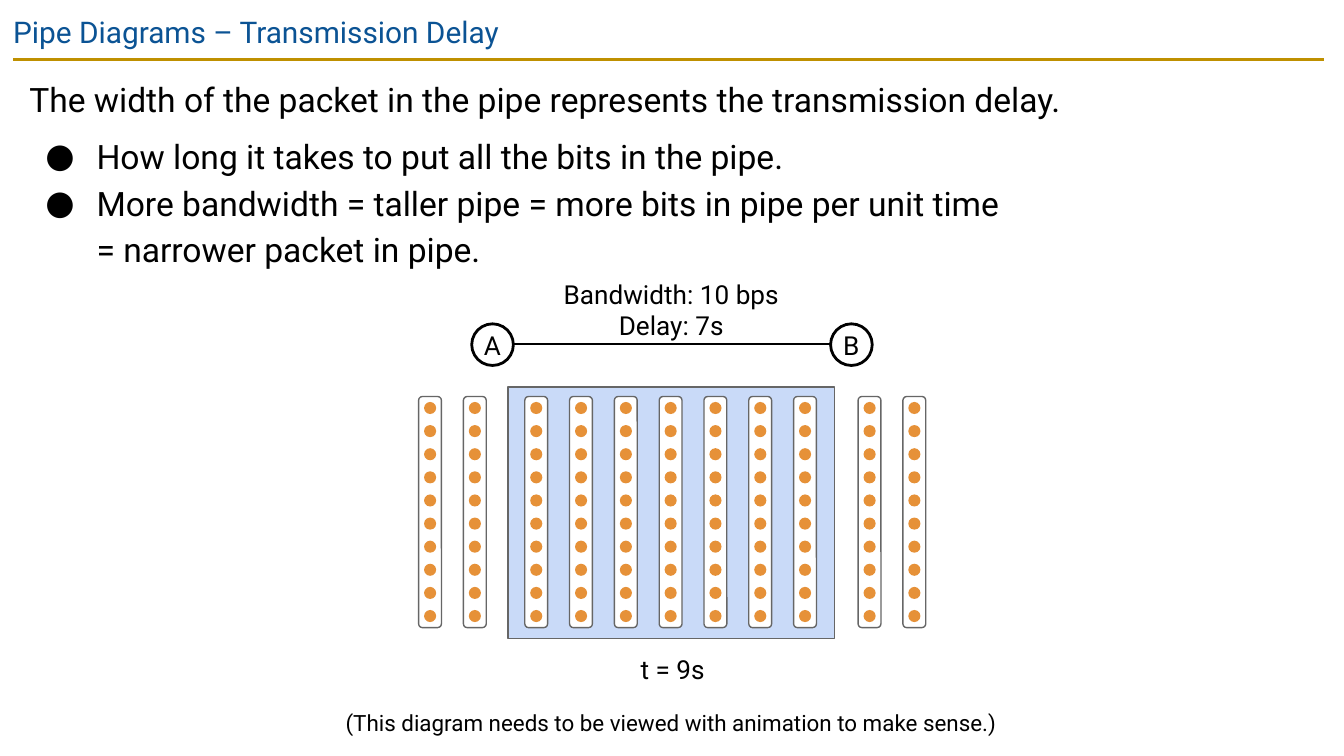
from lxml import etree
from pptx import Presentation
from pptx.dml.color import RGBColor
from pptx.enum.shapes import MSO_CONNECTOR, MSO_SHAPE
from pptx.enum.text import MSO_ANCHOR, MSO_AUTO_SIZE, PP_ALIGN
from pptx.oxml.ns import qn
from pptx.util import Inches, Pt

STRAIGHT = MSO_CONNECTOR.STRAIGHT
OVAL = MSO_SHAPE.OVAL
RECTANGLE = MSO_SHAPE.RECTANGLE
ROUNDED = MSO_SHAPE.ROUNDED_RECTANGLE
MIDDLE = MSO_ANCHOR.MIDDLE
TOP = MSO_ANCHOR.TOP
GROW = MSO_AUTO_SIZE.SHAPE_TO_FIT_TEXT
LEFT = PP_ALIGN.LEFT
CENTER = PP_ALIGN.CENTER

FONT = "Roboto"
COLORS = {
    "title": "0B5394",
    "rule": "BF9000",
    "text": "000000",
    "white": "FFFFFF",
    "pipe": "C9DAF8",
    "outline": "666666",
    "bit": "E69138",
}

BITS_PER_PACKET = 10
PACKET_WIDTH = 0.17
PACKET_HEIGHT = 1.72
PACKET_TOP = 2.95
PACKET_STEP = 1 / 3
PACKET_RUNS = [(3.2, 2), (3.99, 7), (6.47, 2)]
BIT_STEP = PACKET_HEIGHT / BITS_PER_PACKET
BIT_SIZE = 0.09


def color(name):
    return RGBColor.from_string(COLORS[name])


def add_line(slide, start, end, line_color):
    line = slide.shapes.add_connector(STRAIGHT, *map(Inches, start + end))
    line.line.color.rgb = color(line_color)
    line.line.width = Pt(1.5)
    etree.SubElement(line._element.spPr, qn("a:effectLst"))


def add_shape(shapes, kind, box, fill, outline=None, width=0.75):
    shape = shapes.add_shape(kind, *map(Inches, box))
    shape.shadow.inherit = False
    shape.fill.solid()
    shape.fill.fore_color.rgb = color(fill)
    if outline:
        shape.line.color.rgb = color(outline)
        shape.line.width = Pt(width)
    else:
        shape.line.fill.background()
    return shape


def write_text(shape, text, size, inset, align=CENTER, anchor=TOP, font_color="text"):
    frame = shape.text_frame
    frame.text = text
    frame.word_wrap = True
    frame.vertical_anchor = anchor
    frame.margin_left = frame.margin_right = Inches(inset)
    frame.margin_top = frame.margin_bottom = Inches(inset)
    for paragraph in frame.paragraphs:
        paragraph.alignment = align
        for run in paragraph.runs:
            run.font.name = FONT
            run.font.size = Pt(size)
            run.font.color.rgb = color(font_color)
    return frame


def add_text(slide, box, text, size, inset=0.03, **options):
    return write_text(slide.shapes.add_textbox(*map(Inches, box)), text, size, inset, **options)


def add_bullet(paragraph):
    properties = paragraph._p.get_or_add_pPr()
    properties.set("marL", str(Inches(0.5)))
    properties.set("indent", str(Inches(-0.38)))
    bullet_color = etree.SubElement(properties, qn("a:buClr"))
    etree.SubElement(bullet_color, qn("a:srgbClr"), val=COLORS["text"])
    etree.SubElement(properties, qn("a:buFont"), typeface=FONT)
    etree.SubElement(properties, qn("a:buChar"), char="●")


def add_body(slide):
    text = "\n".join([
        "The width of the packet in the pipe represents the transmission delay.",
        "How long it takes to put all the bits in the pipe.",
        "More bandwidth = taller pipe = more bits in pipe per unit time\v= narrower packet in pipe.",
    ])
    frame = add_text(slide, (0.12, 0.44, 9.74, 1.72), text, 18, 0.1, align=LEFT)
    for paragraph in frame.paragraphs[1:]:
        add_bullet(paragraph)
    for paragraph in frame.paragraphs:
        paragraph.line_spacing = 1.15
    frame.paragraphs[1].space_before = Pt(6)


def add_host(slide, left, name):
    host = add_shape(slide.shapes, OVAL, (left, 2.41, 0.31, 0.31), "white", "text", 1.5)
    write_text(host, name, 14, 0, anchor=MIDDLE)


def add_packet(slide, center):
    packet = slide.shapes.add_group_shape()
    box = (center - PACKET_WIDTH / 2, PACKET_TOP, PACKET_WIDTH, PACKET_HEIGHT)
    add_shape(packet.shapes, ROUNDED, box, "white", "outline")
    for index in range(BITS_PER_PACKET):
        bit_top = PACKET_TOP + (index + 0.5) * BIT_STEP - BIT_SIZE / 2
        add_shape(packet.shapes, OVAL, (center - BIT_SIZE / 2, bit_top, BIT_SIZE, BIT_SIZE), "bit")


def main():
    presentation = Presentation()
    presentation.slide_width = Inches(10)
    presentation.slide_height = Inches(10 * 9 / 16)
    slide = presentation.slides.add_slide(presentation.slide_layouts[6])

    add_line(slide, (0.1, 0.44), (9.85, 0.44), "rule")
    add_text(slide, (0, 0, 10, 0.43), "Pipe Diagrams – Transmission Delay", 16, 0.1,
             align=LEFT, font_color="title")
    add_body(slide)

    add_host(slide, 6.18, "B")
    add_host(slide, 3.51, "A")
    add_line(slide, (3.82, 2.56), (6.18, 2.56), "text")
    link_label = add_text(slide, (3.66, 2.04, 2.67, 0.53), "Bandwidth: 10 bps\nDelay: 7s", 14)
    link_label.auto_size = GROW

    add_shape(slide.shapes, RECTANGLE, (3.78, 2.88, 2.43, 1.87), "pipe", "outline")
    footnote = add_text(slide, (2.53, 5.25, 4.93, 0.26),
                        "(This diagram needs to be viewed with animation to make sense.)", 12)
    footnote.auto_size = GROW
    for first_center, count in PACKET_RUNS:
        for index in range(count):
            add_packet(slide, first_center + index * PACKET_STEP)

    time_label = add_shape(slide.shapes, RECTANGLE, (4.27, 4.83, 1.47, 0.3), "white")
    write_text(time_label, "t = 9s", 14, 0.03).auto_size = GROW

    presentation.save("out.pptx")


if __name__ == "__main__":
    main()
